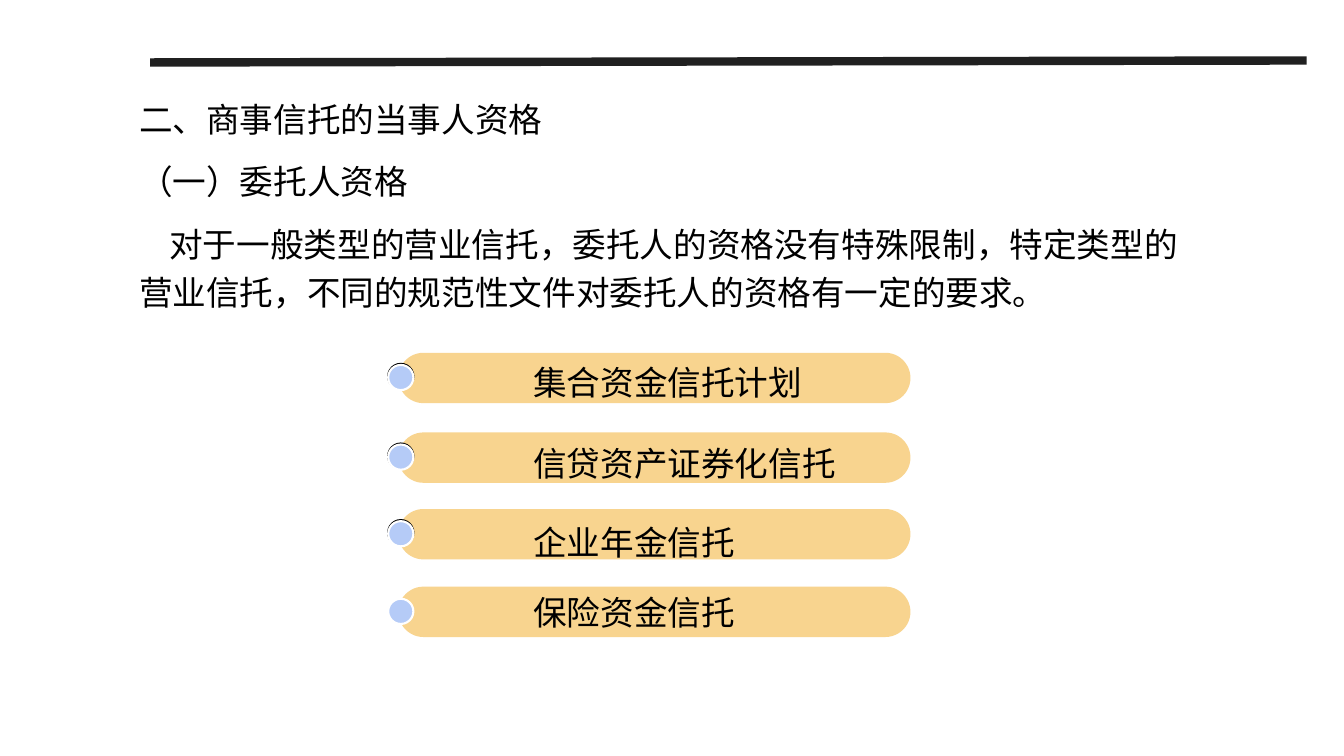
from lxml import etree
from pptx import Presentation
from pptx import util as u
from pptx.dml.color import RGBColor
from pptx.enum import shapes, text
from pptx.oxml import ns

EMU_PER_PX = 9144
FONT = "Noto Sans CJK SC"
BLACK = RGBColor(0x00, 0x00, 0x00)
WHITE = RGBColor(0xFF, 0xFF, 0xFF)
RULE_GRAY = RGBColor(0x20, 0x20, 0x20)
BAR_YELLOW = RGBColor(0xF8, 0xD4, 0x8F)
DOT_BLUE = RGBColor(0xB5, 0xCB, 0xF7)
RING_ORANGE = RGBColor(0xE9, 0x6E, 0x29)
RING_OLIVE = RGBColor(0xDC, 0xDC, 0x48)
RING_GRAY = RGBColor(0x9B, 0x9B, 0x9B)

BODY = [
    ("二、商事信托的当事人资格", 0),
    ("（一）委托人资格", 0),
    ("对于一般类型的营业信托，委托人的资格没有特殊限制，特定类型的营业信托，"
     "不同的规范性文件对委托人的资格有一定的要求。", 30),
]
TRUST_TYPES = [
    ("集合资金信托计划", 350, (4, 287, 55), RING_ORANGE, False),
    ("信贷资产证券化信托", 429, (5, 320, 56), RING_OLIVE, False),
    ("企业年金信托", 505, (0, 220, 75), RING_GRAY, True),
    ("保险资金信托", 582, (0, 220, 50), None, False),
]


def px(*lengths):
    return [u.Emu(length * EMU_PER_PX) for length in lengths]


def add_text(paragraph, wording, spaced):
    run = paragraph.add_run()
    run.text = wording
    run.font.size = u.Pt(24)
    run.font.name = FONT
    run.font.color.rgb = BLACK
    east_asian = etree.SubElement(run.font._element, ns.qn("a:ea"))
    east_asian.set("typeface", FONT)
    paragraph.alignment = text.PP_ALIGN.LEFT
    if spaced:
        paragraph.line_spacing = 1.2
        paragraph.space_before = u.Pt(10)


def add_filled(group, kind, box, fill, line=None):
    shape = group.shapes.add_shape(kind, *px(*box))
    shape.shadow.inherit = False
    shape.fill.solid()
    shape.fill.fore_color.rgb = fill
    if line is None:
        shape.line.fill.background()
    else:
        shape.line.color.rgb = line
        shape.line.width = u.Pt(1.5)
    return shape


def add_rule(slide, start, end):
    rule = slide.shapes.add_connector(shapes.MSO_CONNECTOR.STRAIGHT, *px(*start, *end))
    rule.line.color.rgb = RULE_GRAY
    rule.line.width = u.Pt(6)
    etree.SubElement(rule._element.spPr, ns.qn("a:effectLst"))


def fill_body(body, box):
    body.left, body.top, body.width, body.height = px(*box)
    frame = body.text_frame
    frame.auto_size = text.MSO_AUTO_SIZE.NONE
    frame.vertical_anchor = text.MSO_ANCHOR.TOP
    for index, (wording, indent) in enumerate(BODY):
        paragraph = frame.add_paragraph() if index else frame.paragraphs[0]
        add_text(paragraph, wording, True)
        properties = paragraph._p.get_or_add_pPr()
        properties.set("marL", "0")
        properties.set("indent", str(px(indent)[0]))
        etree.SubElement(properties, ns.qn("a:buNone"))


def add_trust_type(slide, box, wording, label, ring, spaced):
    left, top, width, height = box
    label_offset, label_width, label_height = label
    group = slide.shapes.add_group_shape()
    bar = add_filled(group, shapes.MSO_SHAPE.ROUNDED_RECTANGLE, box, BAR_YELLOW)
    bar.adjustments[0] = 0.5
    label_box = group.shapes.add_textbox(
        *px(left + 124, top + label_offset, label_width, label_height))
    label_box.text_frame.word_wrap = False
    label_box.text_frame.auto_size = text.MSO_AUTO_SIZE.SHAPE_TO_FIT_TEXT
    add_text(label_box.text_frame.paragraphs[0], wording, spaced)
    if ring is not None:
        add_filled(group, shapes.MSO_SHAPE.OVAL, (left - 10, top + 11, 25, 25), ring, BLACK)
    add_filled(group, shapes.MSO_SHAPE.OVAL, (left - 10, top + 12, 25, 25), DOT_BLUE, WHITE)


def main():
    presentation = Presentation()
    presentation.slide_width, presentation.slide_height = px(1333, 750)
    slide = presentation.slides.add_slide(presentation.slide_layouts[1])
    title = slide.shapes.title._element
    title.getparent().remove(title)
    add_rule(slide, (149, 62), (1296, 60))
    fill_body(slide.placeholders[1], (128, 85, 1062, 268))
    for wording, top, label, ring, spaced in TRUST_TYPES:
        add_trust_type(slide, (395, top, 508, 50), wording, label, ring, spaced)
    presentation.save("out.pptx")


if __name__ == "__main__":
    main()
